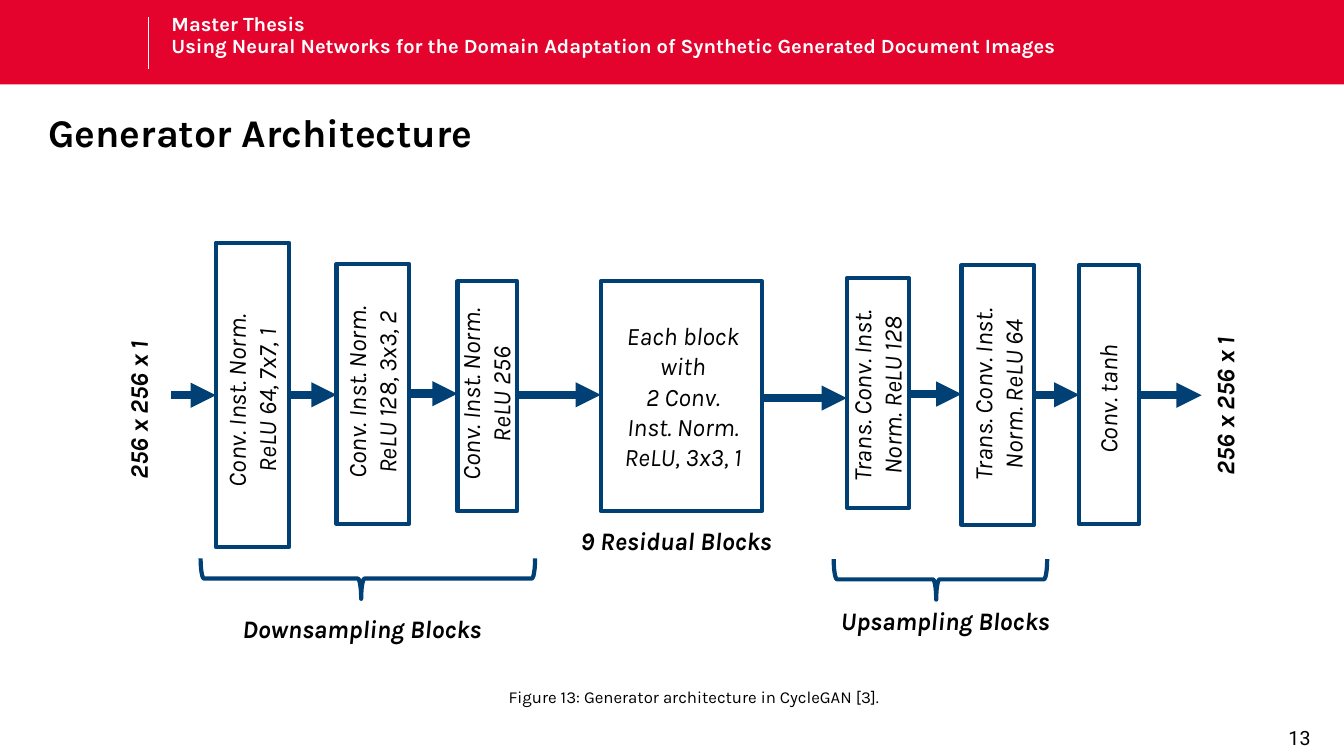
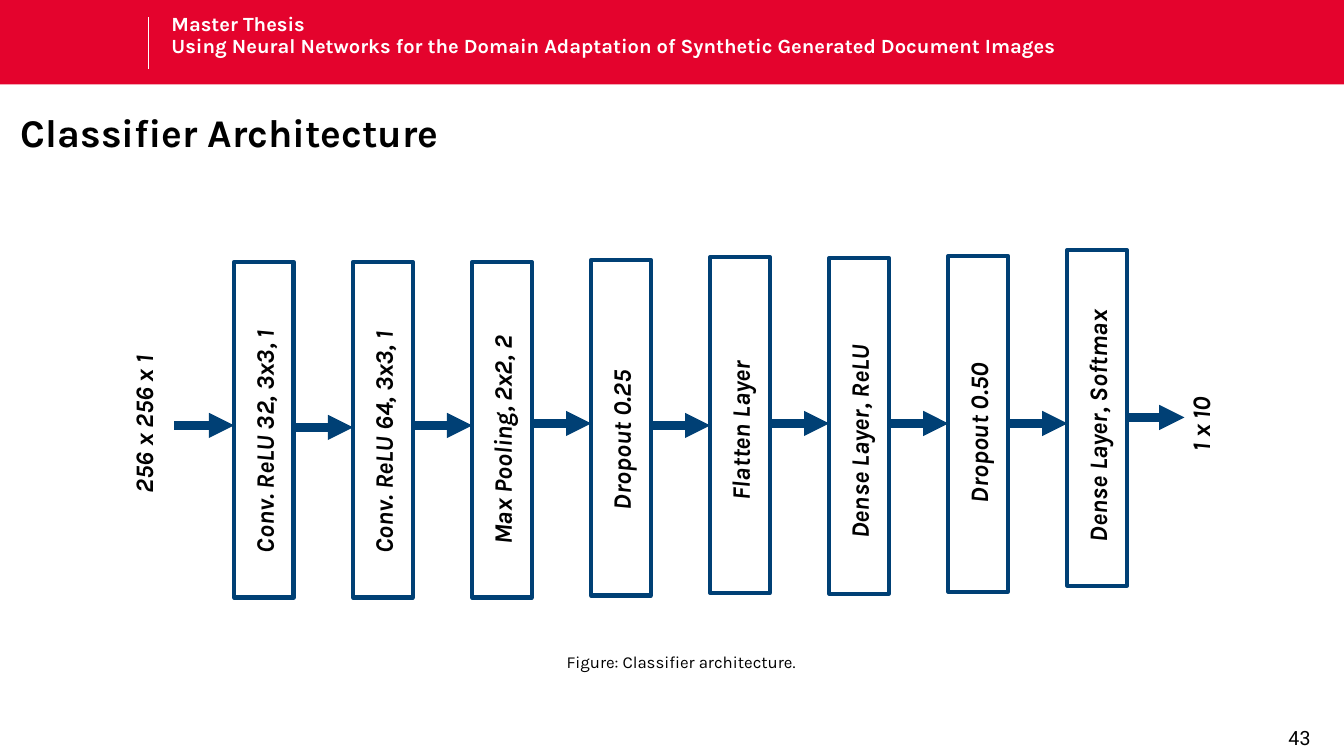
from lxml import etree
from pptx import Presentation
from pptx.dml.color import RGBColor
from pptx.enum import shapes as sh, text as tx
from pptx.oxml import ns
from pptx.util import Cm, Pt

RED = RGBColor(0xE4, 0x03, 0x2D)
NAVY = RGBColor(0x00, 0x40, 0x75)
WHITE = RGBColor(0xFF, 0xFF, 0xFF)
BLACK = RGBColor(0, 0, 0)
FONT = "Karla"
WIDTH, HEIGHT = 33.87, 19.05
LINE = 1.02  # height of a one-line label
LEFT, MID = tx.PP_ALIGN.LEFT, tx.PP_ALIGN.CENTER
HEADER = ("Master Thesis\nUsing Neural Networks for the Domain Adaptation "
          "of Synthetic Generated Document Images")


# Basic elements, all lengths in cm
def write(slide, words, left, top, width, height, size=18, bold=False,
          italic=False, color=BLACK, font=FONT, align=MID, flush=False,
          space=None):
    box = slide.shapes.add_textbox(Cm(left), Cm(top), Cm(width), Cm(height))
    frame = box.text_frame
    frame.word_wrap = True
    if flush:
        frame.margin_left = frame.margin_right = 0
        frame.margin_top = frame.margin_bottom = 0
    frame.text = words
    for para in frame.paragraphs:
        para.alignment = align
        para.line_spacing = space
        para.font.name = font
        para.font.size = Pt(size)
        para.font.bold = bold
        para.font.italic = italic
        para.font.color.rgb = color
    return box


def upright(slide, words, mid_x, mid_y, length, height=LINE, **style):
    """Text that reads upwards, placed by its centre."""
    box = write(slide, words, mid_x - length / 2, mid_y - height / 2,
                length, height, italic=True, **style)
    box.rotation = 270


def outline(slide, kind, left, top, width, height):
    shape = slide.shapes.add_shape(kind, Cm(left), Cm(top), Cm(width),
                                   Cm(height))
    shape.shadow.inherit = False
    shape.fill.background()
    shape.line.color.rgb = NAVY
    shape.line.width = Pt(3)
    return shape


def brace(slide, mid_x, mid_y, span):
    shape = outline(slide, sh.MSO_SHAPE.RIGHT_BRACE, mid_x - LINE / 2,
                    mid_y - span / 2, LINE, span)
    shape.adjustments[1] = 0.52
    shape.rotation = 90


def rule(slide, x1, y1, x2, y2, color, weight):
    line = slide.shapes.add_connector(sh.MSO_CONNECTOR.STRAIGHT, Cm(x1),
                                      Cm(y1), Cm(x2), Cm(y2))
    line.line.color.rgb = color
    line.line.width = Pt(weight)
    etree.SubElement(line._element.spPr, ns.qn("a:effectLst"))
    return line


def arrow(slide, start, end, y):
    line = rule(slide, start, y, end, y, NAVY, 6)
    tail = etree.SubElement(line.line._get_or_add_ln(), ns.qn("a:tailEnd"))
    tail.set("type", "triangle")


def flow(slide, start, blocks, levels, end):
    """Blocks in a row, with an arrow into each and one out of the last."""
    for left, top, width, height in blocks:
        outline(slide, sh.MSO_SHAPE.RECTANGLE, left, top, width, height)
    tails = [start] + [block[0] + block[2] for block in blocks]
    heads = [block[0] for block in blocks] + [end]
    for tail, head, level in zip(tails, heads, levels):
        arrow(slide, tail, head, level)


# What the slides share
def base(deck, title, width, page):
    slide = deck.slides.add_slide(deck.slide_layouts[6])
    band = slide.shapes.add_shape(sh.MSO_SHAPE.RECTANGLE, 0, 0, Cm(WIDTH),
                                  Cm(2.13))
    band.shadow.inherit = False
    band.fill.solid()
    band.fill.fore_color.rgb = RED
    band.line.fill.background()
    rule(slide, 3.73, 0.43, 3.73, 1.73, WHITE, 0.5)
    write(slide, HEADER, 4.32, 0.36, 29, 1.3, size=14.4, bold=True,
          color=WHITE, align=LEFT, flush=True, space=0.9)
    write(slide, title, 0, 2.87, width, 1.3, size=28, bold=True, flush=True,
          space=0.9)
    number = write(slide, page, 31.64, 18.14, 2.22, 0.91, size=14,
                   font="Roboto", flush=True)
    number.text_frame.vertical_anchor = tx.MSO_ANCHOR.MIDDLE
    return slide


def generator(deck):
    slide = base(deck, "Generator Architecture", 13.13, "13")

    # Blocks and arrows
    blocks = [(5.44, 6.12, 1.85, 7.67), (8.48, 6.65, 1.83, 6.55),
              (11.53, 7.09, 1.5, 5.79), (15.14, 7.09, 4.06, 5.79),
              (21.34, 7.01, 1.57, 5.79), (24.23, 6.68, 1.83, 6.55),
              (27.2, 6.68, 1.5, 6.53)]
    levels = [9.96, 9.95, 9.92, 9.95, 10.03, 9.93, 9.95, 9.96]
    flow(slide, 4.32, blocks, levels, 30.28)

    # Labels inside the blocks
    for words, mid_x, mid_y, length in [
            ("Conv. Inst. Norm.\nReLU 64, 7x7, 1", 6.34, 10.1, 7.24),
            ("Conv. Inst. Norm. ReLU 128, 3x3, 2", 9.37, 9.89, 5.99),
            ("Conv. Inst. Norm. ReLU 256", 12.24, 9.94, 5.79),
            ("Trans. Conv. Inst.\nNorm. ReLU 128", 22.1, 9.97, 7.21),
            ("Trans. Conv. Inst.\nNorm. ReLU 64", 25.15, 9.94, 7.21)]:
        upright(slide, words, mid_x, mid_y, length, 1.8)
    upright(slide, "Conv. tanh", 27.91, 10.06, 3.86)
    write(slide, "Each block with\n2 Conv.\nInst. Norm. ReLU, 3x3, 1",
          15.09, 7.95, 4.24, 4.11, italic=True)

    # Input and output size
    for mid_x, mid_y in [(3.48, 10.06), (30.86, 9.96)]:
        upright(slide, "256 x 256 x 1", mid_x, mid_y, 4.52, bold=True,
                align=LEFT)

    # Groups
    brace(slide, 9.27, 14.58, 8.43)
    brace(slide, 23.7, 14.6, 5.38)
    for words, left, top in [("Downsampling Blocks", 4.65, 15.32),
                             ("9 Residual Blocks", 12.57, 13.11),
                             ("Upsampling Blocks", 19.35, 15.14)]:
        write(slide, words, left, top, 8.94, LINE, bold=True, italic=True)
    write(slide, "Figure 13: Generator architecture in CycleGAN [3].",
          12.12, 17.17, 10.74, 0.76, size=12)


def classifier(deck):
    slide = base(deck, "Classifier Architecture", 11.58, "43")

    # Layer, top of block, height of arrow, middle of label
    layers = [("Conv. ReLU 32, 3x3, 1", 6.6, 10.72, 11.13),
              ("Conv. ReLU 64, 3x3, 1", 6.6, 10.77, 11.15),
              ("Max Pooling, 2x2, 2", 6.6, 10.72, 11.1),
              ("Dropout 0.25", 6.55, 10.67, 11.1),
              ("Flatten Layer", 6.48, 10.72, 10.85),
              ("Dense Layer, ReLU", 6.5, 10.67, 11.13),
              ("Dropout 0.50", 6.45, 10.67, 10.92),
              ("Dense Layer, Softmax", 6.3, 10.67, 10.74)]
    first, pitch, width, height = 5.9, 3, 1.5, 8.46
    blocks = [(first + i * pitch, layer[1], width, height)
              for i, layer in enumerate(layers)]
    levels = [layer[2] for layer in layers] + [10.52]
    flow(slide, 4.39, blocks, levels, 29.85)
    for block, (words, _, _, mid_y) in zip(blocks, layers):
        upright(slide, words, block[0] + width / 2, mid_y, height, bold=True)

    # Input and output size
    upright(slide, "256 x 256 x 1", 3.61, 10.26, 4.83, bold=True, align=LEFT)
    upright(slide, "1 x 10", 30.25, 10.46, 2.34, bold=True, align=LEFT)
    write(slide, "Figure: Classifier architecture.", 9.5, 16.31, 15.34, 0.76,
          size=12)


def main():
    deck = Presentation()
    deck.slide_width, deck.slide_height = Cm(WIDTH), Cm(HEIGHT)
    generator(deck)
    classifier(deck)
    deck.save("out.pptx")


if __name__ == "__main__":
    main()
